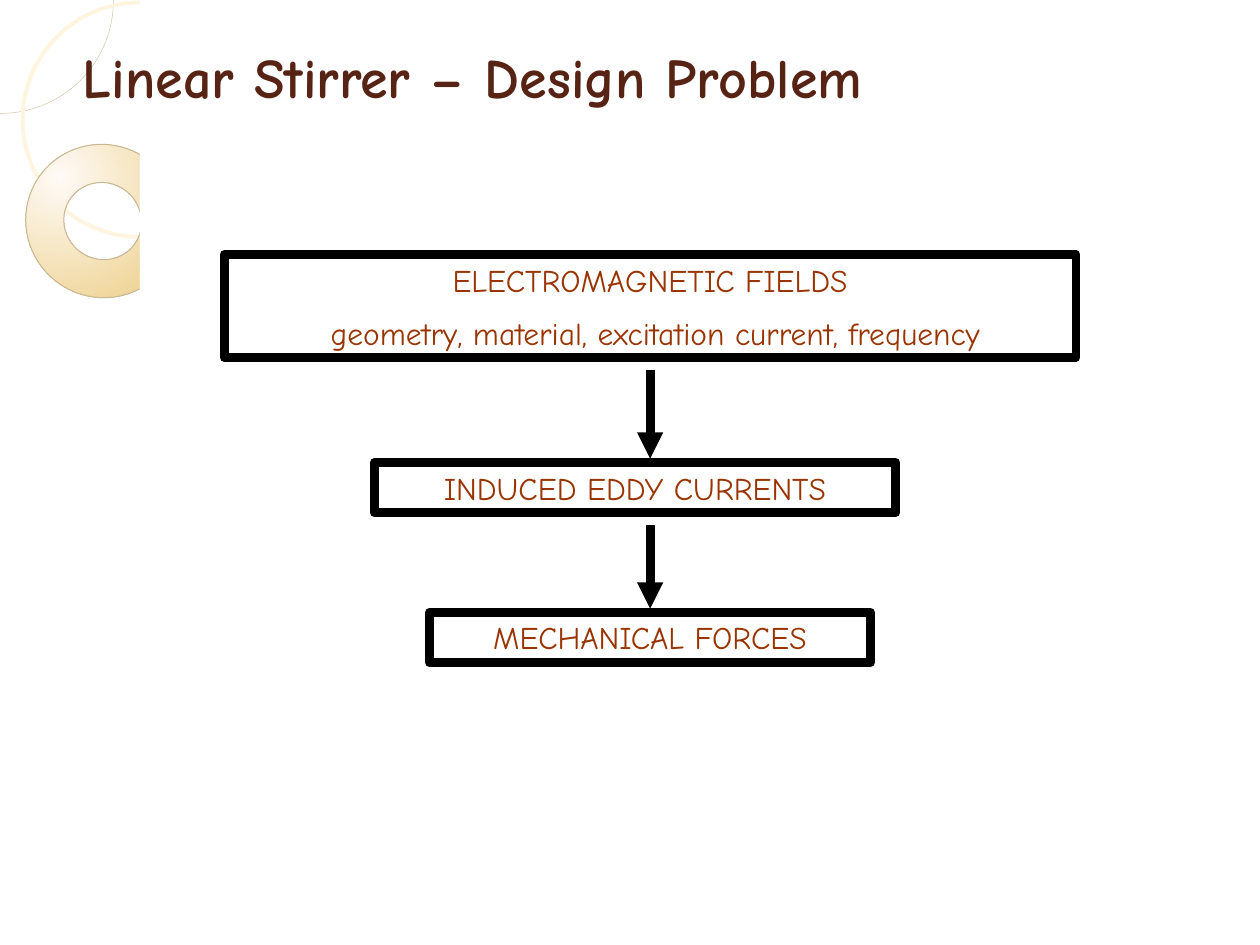
from lxml import etree
from pptx import Presentation
from pptx.dml.color import RGBColor
from pptx.enum.shapes import MSO_CONNECTOR, MSO_SHAPE
from pptx.enum.text import MSO_ANCHOR, PP_ALIGN
from pptx.oxml import parse_xml
from pptx.oxml.ns import nsdecls, qn
from pptx.util import Inches, Pt

COLUMNS, ROWS = 100, 75
FLOW_CENTER = 51.6
STEPS = [
    # left, top, width, height, lines
    (17.8, 20.2, 67.6, 8.2, ["ELECTROMAGNETIC FIELDS",
                             " geometry, material, excitation current, frequency"]),
    (29.7, 36.7, 41.4, 4, ["INDUCED EDDY CURRENTS"]),
    (34.1, 48.6, 35, 4, ["MECHANICAL FORCES"]),
]


def color(value):
    return RGBColor.from_string(value)


class FlowSlide:
    """Holds the style and the page; lengths are columns and rows of the grid."""

    font_name = "Comic Neue"
    title_color = "572314"
    text_color = "993300"
    flow_color = "000000"
    flow_weight = 5

    def __init__(self, deck):
        self.column = deck.slide_width / COLUMNS
        self.row = deck.slide_height / ROWS
        self.page = deck.slides.add_slide(deck.slide_layouts[6])

    def place(self, left, top, width, height):
        return (round(left * self.column), round(top * self.row),
                round(width * self.column), round(height * self.row))

    def shape(self, kind, area, fill=None, line=None, weight=1, adjustments=()):
        shape = self.page.shapes.add_shape(kind, *self.place(*area))
        shape.shadow.inherit = False
        for index, value in enumerate(adjustments):
            shape.adjustments[index] = value
        if fill:
            shape.fill.solid()
            shape.fill.fore_color.rgb = color(fill)
        else:
            shape.fill.background()
        if line:
            shape.line.color.rgb = color(line)
            shape.line.width = Pt(weight)
        else:
            shape.line.fill.background()
        return shape

    def fade(self, shape, opacity):
        """Set the opacity of a solid fill, in percent."""
        fill_color = shape._element.spPr.find(qn("a:solidFill"))[0]
        etree.SubElement(fill_color, qn("a:alpha"), val=str(opacity * 1000))

    def glow(self, shape, inner, outer):
        """Fill with a round gradient lit from the upper left."""
        shape.fill.gradient()
        for stop, value in zip(shape.fill.gradient_stops, (inner, outer)):
            stop.color.rgb = color(value)
        linear = shape._element.spPr.find(".//" + qn("a:lin"))
        linear.getparent().replace(linear, parse_xml(
            f'<a:path {nsdecls("a")} path="circle">'
            '<a:fillToRect l="30000" t="30000" r="70000" b="70000"/></a:path>'))

    def set_text(self, box, lines, size, value, bold=False, align=PP_ALIGN.LEFT):
        frame = box.text_frame
        frame.word_wrap = True
        frame.vertical_anchor = MSO_ANCHOR.TOP
        frame.text = "\n".join(lines)
        for index, paragraph in enumerate(frame.paragraphs):
            paragraph.alignment = align
            if index:
                paragraph.space_before = Pt(9)
            for span in paragraph.runs:
                span.font.name = self.font_name
                span.font.size = Pt(size)
                span.font.bold = bold
                span.font.color.rgb = color(value)

    def title(self, text, area):
        box = self.page.shapes.add_textbox(*self.place(*area))
        self.set_text(box, [text], 32, self.title_color, bold=True)

    def step(self, area, lines):
        box = self.shape(MSO_SHAPE.RECTANGLE, area, line=self.flow_color,
                         weight=self.flow_weight)
        self.set_text(box, lines, 18, self.text_color, align=PP_ALIGN.CENTER)

    def arrow_down(self, center, top, bottom):
        x, start, _, end = self.place(center, top, 0, bottom)
        arrow = self.page.shapes.add_connector(MSO_CONNECTOR.STRAIGHT, x, start, x, end)
        arrow.line.color.rgb = color(self.flow_color)
        arrow.line.width = Pt(self.flow_weight)
        outline = arrow._element.spPr.find(qn("a:ln"))
        etree.SubElement(outline, qn("a:tailEnd"), type="triangle")
        etree.SubElement(arrow._element.spPr, qn("a:effectLst"))

    def ornament(self):
        arc = self.shape(MSO_SHAPE.BLOCK_ARC, (-8.9, -8.9, 17.9, 17.9), "FCFAF4",
                         "D1C3A0", 0.25, (0, 108, -249.6))
        self.fade(arc, 33)
        self.shape(MSO_SHAPE.OVAL, (1.8, 0.2, 18.6, 18.6), line="FFF4DD", weight=2.15)
        ring = self.shape(MSO_SHAPE.DONUT, (2, 11.5, 12.3, 12.1), line="C6B792",
                          weight=0.57, adjustments=(0.25,))
        ring.rotation = 38.6
        self.glow(ring, "FEFAF6", "EED18E")
        for width in (88.9, 0.8):
            self.shape(MSO_SHAPE.RECTANGLE, (11.1, 0, width, ROWS), "FFFFFF")


def main():
    deck = Presentation()
    deck.slide_width, deck.slide_height = Inches(10), Inches(7.5)
    slide = FlowSlide(deck)
    slide.ornament()
    slide.title("Linear Stirrer – Design Problem", (5.6, 2.9, 92.4, 11.9))
    for *area, lines in STEPS:
        slide.step(area, lines)
    for upper, lower in zip(STEPS, STEPS[1:]):
        slide.arrow_down(FLOW_CENTER, upper[1] + upper[3] + 1, lower[1] - 0.3)
    deck.save("out.pptx")


if __name__ == "__main__":
    main()
